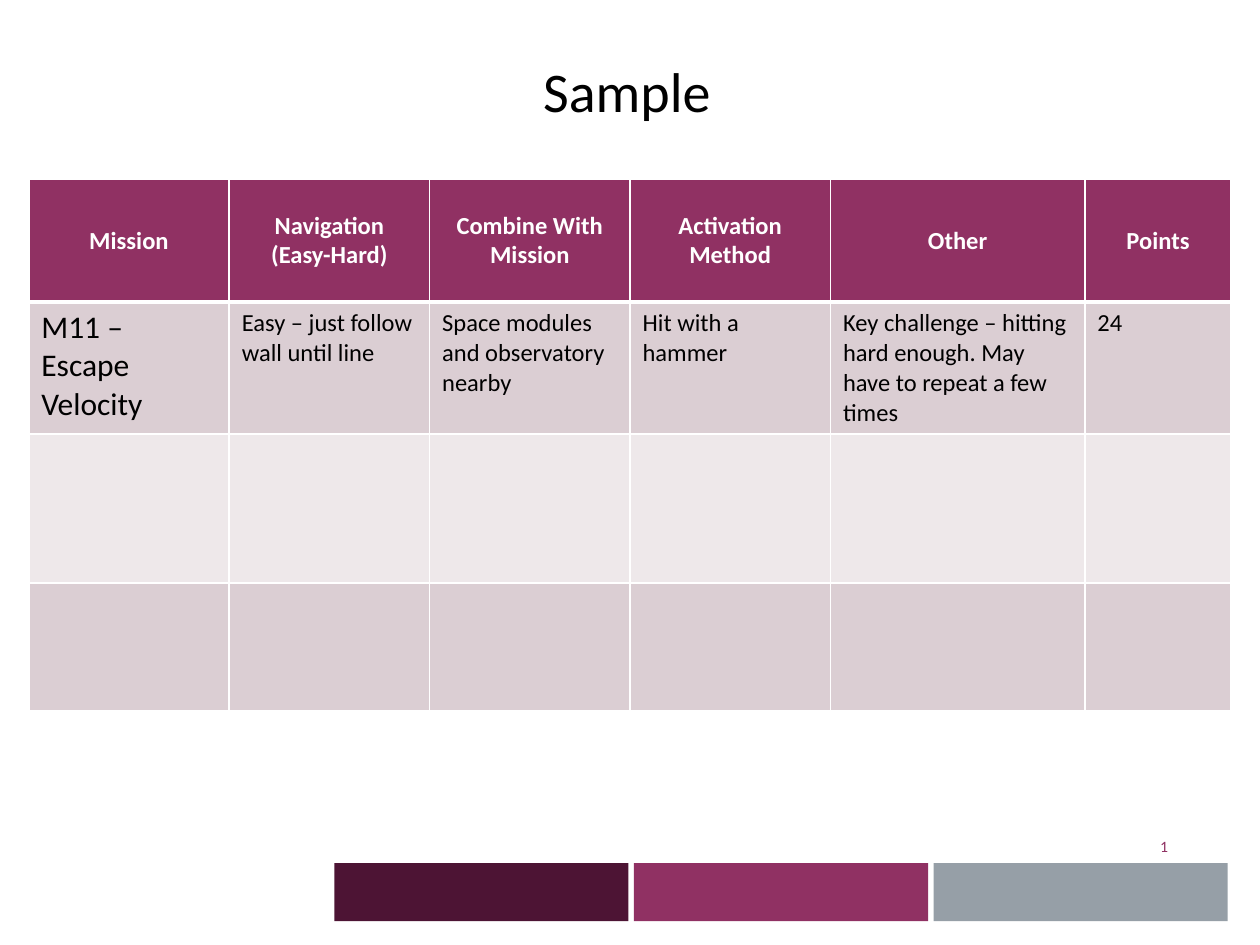
from lxml import etree
from pptx import Presentation
from pptx.dml.color import RGBColor
from pptx.enum.shapes import MSO_SHAPE
from pptx.enum.text import MSO_ANCHOR, PP_ALIGN
from pptx.oxml.ns import qn
from pptx.util import Cm, Pt

RECTANGLE = MSO_SHAPE.RECTANGLE
TOP, MIDDLE = MSO_ANCHOR.TOP, MSO_ANCHOR.MIDDLE
LEFT, CENTER, RIGHT = PP_ALIGN.LEFT, PP_ALIGN.CENTER, PP_ALIGN.RIGHT

FONT = "Calibri"
BLACK = RGBColor(0x00, 0x00, 0x00)
WHITE = RGBColor(0xFF, 0xFF, 0xFF)
PLUM = RGBColor(0x90, 0x31, 0x63)
DARK_PLUM = RGBColor(0x4D, 0x14, 0x34)
GREY = RGBColor(0x96, 0x9F, 0xA7)
BAND_DARK = RGBColor(0xDB, 0xCE, 0xD3)
BAND_LIGHT = RGBColor(0xEE, 0xE8, 0xEA)

COLUMN_WIDTHS = [4.04, 4.04, 4.04, 4.04, 5.13, 2.95]
ROW_HEIGHTS = [2.48, 2.57, 3.0, 2.57]
ROW_FILLS = [PLUM, BAND_DARK, BAND_LIGHT, BAND_DARK]
HEADERS = ["Mission", "Navigation\n(Easy-Hard)", "Combine With Mission",
           "Activation Method", "Other", "Points"]
MISSION = ["M11 – Escape Velocity", "Easy – just follow wall until line",
           "Space modules and observatory nearby", "Hit with a hammer",
           "Key challenge – hitting hard enough. May have to repeat a few times",
           "24"]


def write_text(frame, text, size, color, alignment=LEFT, bold=False):
    """Write each line of text as a paragraph of its own."""
    for index, line in enumerate(text.split("\n")):
        paragraph = frame.add_paragraph() if index else frame.paragraphs[0]
        paragraph.alignment = alignment
        run = paragraph.add_run()
        run.text = line
        run.font.name = FONT
        run.font.size = Pt(size)
        run.font.bold = bold
        run.font.color.rgb = color


def set_borders(cell, bottom_width):
    """Give a cell white borders; call before setting its fill."""
    properties = cell._tc.get_or_add_tcPr()
    widths = {"a:lnL": 1, "a:lnR": 1, "a:lnT": 1, "a:lnB": bottom_width}
    for tag, width in widths.items():
        line = etree.SubElement(properties, qn(tag), w=str(Pt(width)))
        fill = etree.SubElement(line, qn("a:solidFill"))
        etree.SubElement(fill, qn("a:srgbClr"), val=str(WHITE))


def add_title(slide, text):
    title = slide.shapes.title
    title.left, title.top = Cm(8.31), Cm(1.02)
    title.width, title.height = Cm(8.66), Cm(1.63)
    title.text_frame.vertical_anchor = TOP
    write_text(title.text_frame, text, 32, BLACK, CENTER)


def add_mission_table(slide):
    table = slide.shapes.add_table(
        len(ROW_HEIGHTS), len(COLUMN_WIDTHS), Cm(0.58), Cm(3.61),
        Cm(sum(COLUMN_WIDTHS)), Cm(sum(ROW_HEIGHTS))).table
    for column, width in zip(table.columns, COLUMN_WIDTHS):
        column.width = Cm(width)
    for index, (row, height) in enumerate(zip(table.rows, ROW_HEIGHTS)):
        row.height = Cm(height)
        for cell in row.cells:
            set_borders(cell, 1 if index else 3)
            cell.fill.solid()
            cell.fill.fore_color.rgb = ROW_FILLS[index]
    for column, (header, entry) in enumerate(zip(HEADERS, MISSION)):
        header_cell = table.cell(0, column)
        header_cell.vertical_anchor = MIDDLE
        write_text(header_cell.text_frame, header, 14, WHITE, CENTER, True)
        size = 14 if column else 18
        write_text(table.cell(1, column).text_frame, entry, size, BLACK)


def add_slide_number(slide, number):
    box = slide.shapes.add_textbox(Cm(21.67), Cm(16.54), Cm(2.13), Cm(1.02))
    box.text_frame.word_wrap = True
    box.text_frame.vertical_anchor = MIDDLE
    write_text(box.text_frame, number, 9, PLUM, RIGHT)


def add_footer_bars(slide):
    for index, color in enumerate([DARK_PLUM, PLUM, GREY]):
        bar = slide.shapes.add_shape(
            RECTANGLE, Cm(6.74 + 6.04 * index), Cm(17.4), Cm(5.93), Cm(1.17))
        bar.shadow.inherit = False
        bar.fill.solid()
        bar.fill.fore_color.rgb = color
        bar.line.fill.background()


def main():
    presentation = Presentation()
    presentation.slide_width, presentation.slide_height = Cm(25.4), Cm(19.05)
    slide = presentation.slides.add_slide(presentation.slide_layouts[5])
    add_title(slide, "Sample")
    add_mission_table(slide)
    add_slide_number(slide, "1")
    add_footer_bars(slide)
    presentation.save("out.pptx")


if __name__ == "__main__":
    main()
